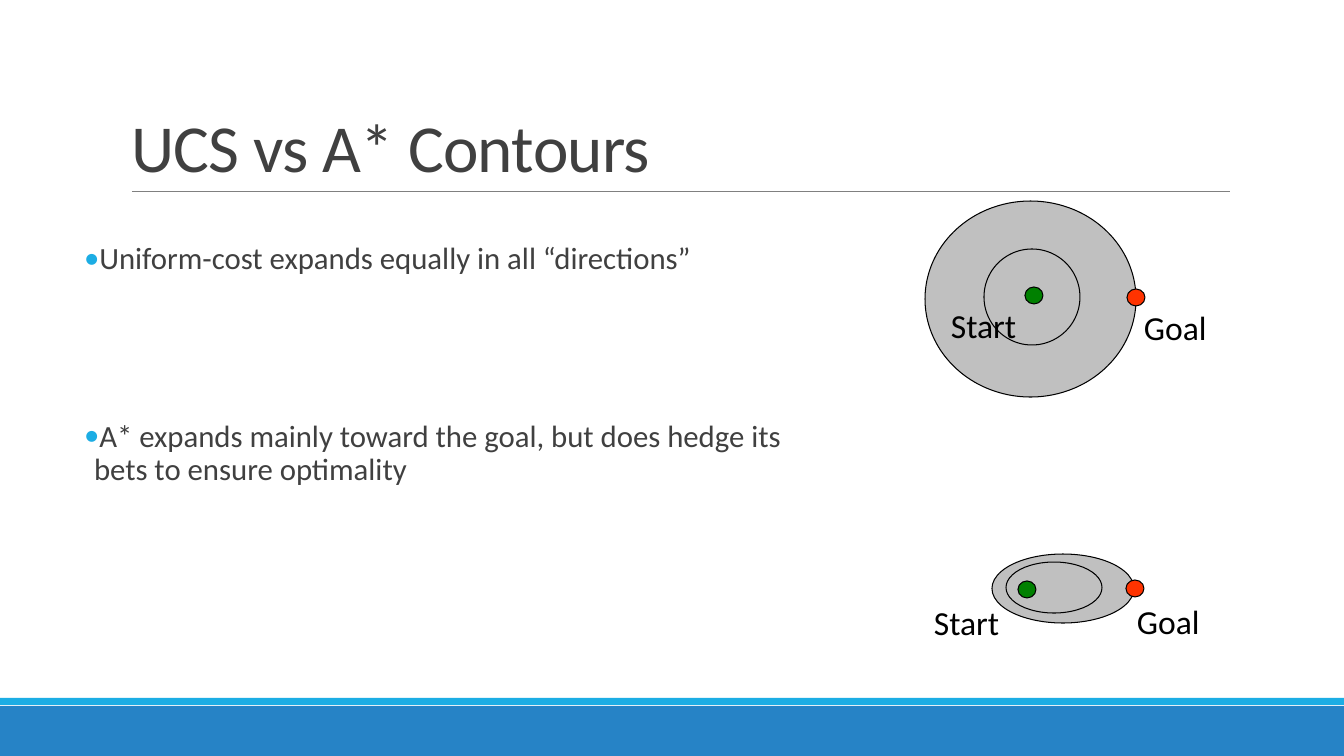
from lxml import etree
from pptx import Presentation
from pptx.dml.color import RGBColor
from pptx.enum.shapes import MSO_CONNECTOR, MSO_SHAPE
from pptx.enum.text import MSO_ANCHOR, MSO_AUTO_SIZE, PP_ALIGN
from pptx.oxml.ns import qn
from pptx.util import Pt

EMU_PER_PIXEL = 9144000 / 1008
RECTANGLE, ELLIPSE = MSO_SHAPE.RECTANGLE, MSO_SHAPE.OVAL
STRAIGHT = MSO_CONNECTOR.STRAIGHT
TOP, BOTTOM = MSO_ANCHOR.TOP, MSO_ANCHOR.BOTTOM
LEFT = PP_ALIGN.LEFT
NO_FIT = MSO_AUTO_SIZE.NONE
FONT = "Calibri"
COLORS = {
    "text": "404040", "label": "000000", "outline": "000000", "rule": "808080",
    "band": "2683C6", "accent": "1CADE4",
    "contour": "C0C0C0", "start": "008000", "goal": "FF3300",
}


def px(length):
    """Turn pixels into EMU."""
    return round(length * EMU_PER_PIXEL)


def color(name):
    """Look up a named colour."""
    return RGBColor.from_string(COLORS[name])


class SlideBuilder:
    """Holds the slide and draws its elements in one style."""

    def __init__(self, slide):
        """Keep the slide to draw on."""
        self.slide = slide
        self.shapes = slide.shapes

    def shape(self, kind, left, top, width, height, fill=None, line=None):
        """Add a preset shape, optionally filled and outlined."""
        shape = self.shapes.add_shape(kind, px(left), px(top), px(width), px(height))
        shape.shadow.inherit = False
        if fill:
            shape.fill.solid()
            shape.fill.fore_color.rgb = color(fill)
        else:
            shape.fill.background()
        if line:
            shape.line.color.rgb = color(line)
            shape.line.width = Pt(0.75)
        else:
            shape.line.fill.background()

    def rule(self, left, right, y):
        """Add a thin horizontal line."""
        line = self.shapes.add_connector(STRAIGHT, px(left), px(y), px(right), px(y))
        line.line.color.rgb = color("rule")
        line.line.width = Pt(0.5)
        etree.SubElement(line._element.spPr, qn("a:effectLst"))

    def style(self, para, size, ink, spacing=1.0):
        """Set the font, alignment and line spacing of a paragraph."""
        para.font.name = FONT
        para.font.size = Pt(size)
        para.font.color.rgb = color(ink)
        para.alignment = LEFT
        para.line_spacing = spacing

    def place(self, box, left, top, width, height, anchor):
        """Move a placeholder and return its text frame."""
        box.left, box.top = px(left), px(top)
        box.width, box.height = px(width), px(height)
        frame = box.text_frame
        frame.auto_size = NO_FIT
        frame.word_wrap = True
        frame.vertical_anchor = anchor
        return frame

    def title(self, text, *area):
        """Fill the title placeholder."""
        frame = self.place(self.shapes.title, *area, BOTTOM)
        frame.text = text
        para = frame.paragraphs[0]
        self.style(para, 48, "text", 0.85)
        para.runs[0]._r.get_or_add_rPr().set("spc", "-50")

    def bullets(self, items, gap, *area):
        """Fill the body placeholder with bullets, a gap in points apart."""
        frame = self.place(self.slide.placeholders[1], *area, TOP)
        frame.margin_left = frame.margin_right = 0
        frame.text = "\n".join(items)
        for index, para in enumerate(frame.paragraphs):
            self.style(para, 22, "text", 0.9)
            para.space_before = Pt(gap if index else 0)
            para.space_after = Pt(0)
            props = para._p.get_or_add_pPr()
            props.set("marL", str(px(10)))
            props.set("indent", str(px(-10)))
            bullet_color = etree.SubElement(props, qn("a:buClr"))
            etree.SubElement(bullet_color, qn("a:srgbClr"), val=COLORS["accent"])
            etree.SubElement(props, qn("a:buFont"), typeface=FONT)
            etree.SubElement(props, qn("a:buChar"), char="•")

    def label(self, text, left, top):
        """Add a node label."""
        box = self.shapes.add_textbox(px(left), px(top), px(101), px(50))
        frame = box.text_frame
        frame.word_wrap = True
        frame.text = text
        self.style(frame.paragraphs[0], 24, "label")

    def contours(self, outer, inner, nodes):
        """Draw two search contours with their marked and labelled nodes."""
        self.shape(ELLIPSE, *outer, "contour", "outline")
        self.shape(ELLIPSE, *inner, None, "outline")
        for name, dot, label in nodes:
            self.shape(ELLIPSE, *dot, 18, 17, name.lower(), "outline")
            self.label(name, *label)


deck = Presentation()
deck.slide_width, deck.slide_height = px(1344), px(756)
page = SlideBuilder(deck.slides.add_slide(deck.slide_layouts[1]))

page.shape(RECTANGLE, 0, 706, 1344, 50, "band")
page.shape(RECTANGLE, 0, 698, 1344, 7, "accent")
page.rule(132, 1230, 191)
page.title("UCS vs A* Contours", 121, 31, 1109, 160)
page.bullets(
    ["Uniform-cost expands equally in all “directions”",
     "A* expands mainly toward the goal, but does hedge its bets to ensure optimality"],
    103, 84, 238, 739, 442)
page.contours(
    (925, 201, 211, 196), (984, 249, 96, 96),
    [("Start", (1025, 287), (941, 300)), ("Goal", (1127, 289), (1134, 302))])
page.contours(
    (992, 554, 142, 69), (1006, 562, 96, 51),
    [("Start", (1018, 581), (924, 597)), ("Goal", (1126, 580), (1127, 596))])

deck.save("out.pptx")
